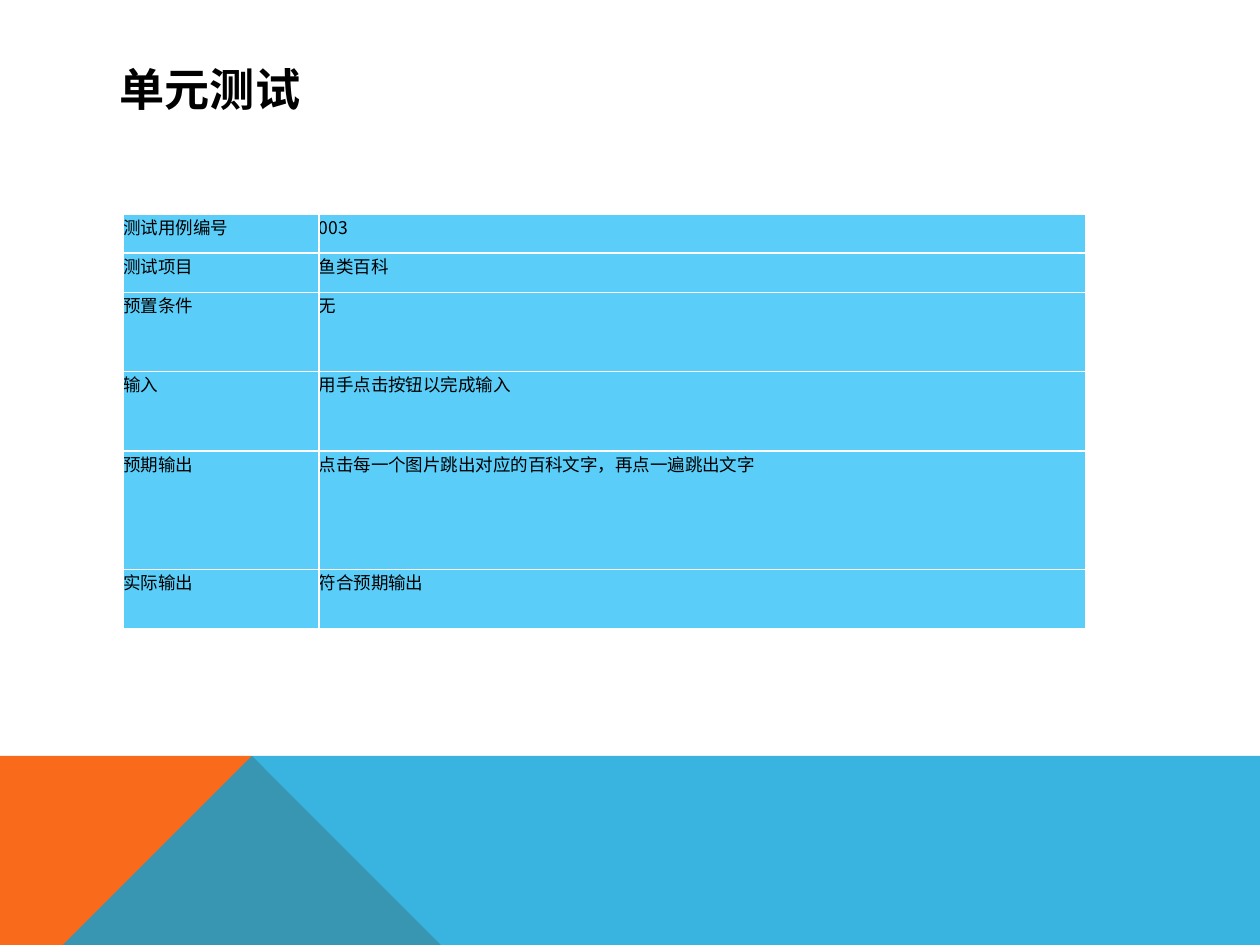
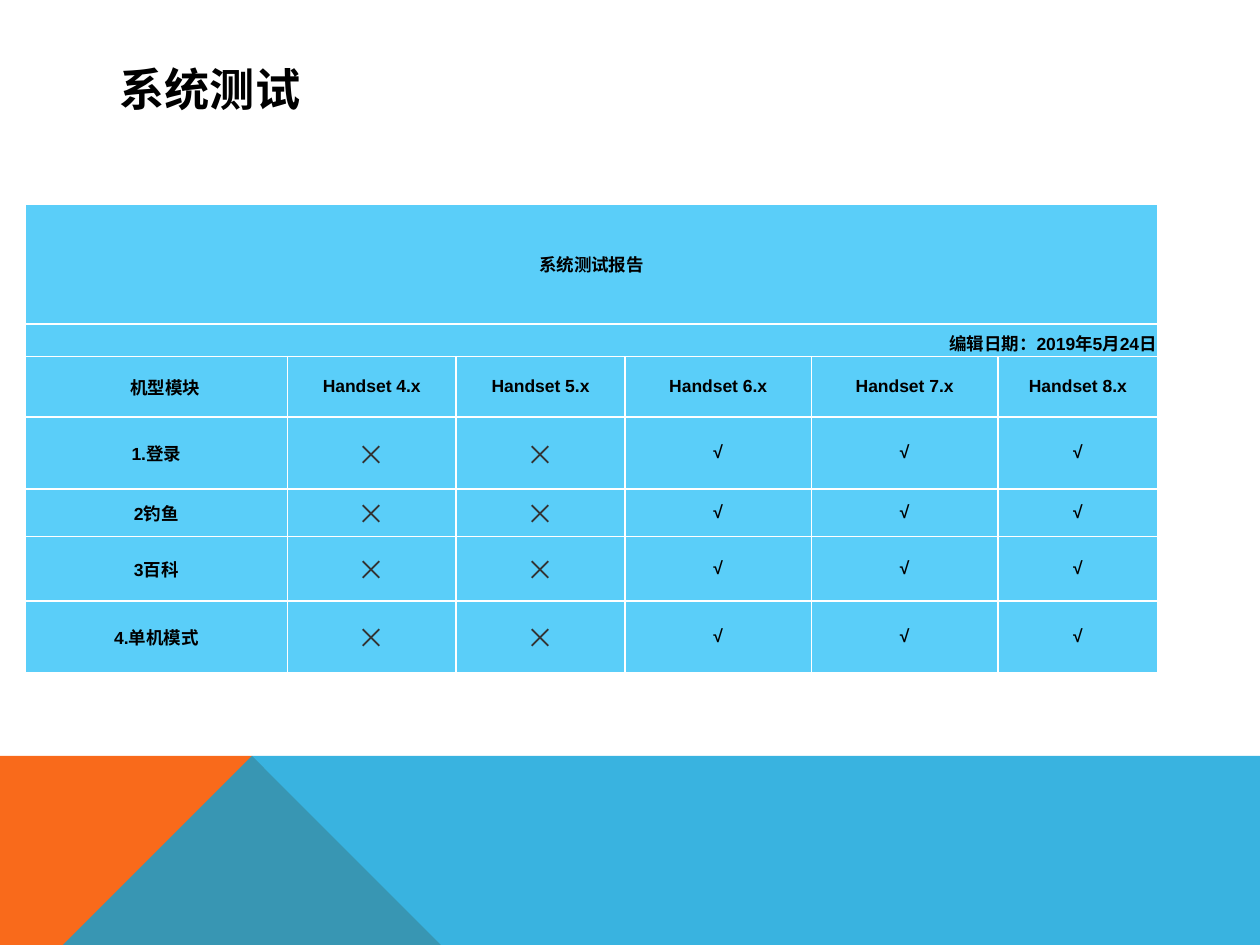
"""Build two test report slides, each with a title, a table and a shared base band."""
from lxml import etree
from pptx import Presentation
from pptx.dml.color import RGBColor
from pptx.enum.text import MSO_ANCHOR, MSO_AUTO_SIZE, PP_ALIGN
from pptx.oxml import parse_xml
from pptx.oxml.ns import nsdecls, qn
from pptx.util import Inches, Pt

UNIT = {
    "title": "单元测试",
    "at": (0.98, 1.7),
    "cols": (1.55, 6.09),
    "rows": (0.31, 0.31, 0.63, 0.63, 0.94, 0.47),
    "cells": [
        ("测试用例编号", "003"),
        ("测试项目", "鱼类百科"),
        ("预置条件", "无"),
        ("输入", "用手点击按钮以完成输入"),
        ("预期输出", "点击每一个图片跳出对应的百科文字，再点一遍跳出文字"),
        ("实际输出", "符合预期输出"),
    ],
}
MARKS = ("×", "×", "√", "√", "√")
SYSTEM = {
    "title": "系统测试",
    "at": (0.2, 1.62),
    "cols": (2.08, 1.34, 1.34, 1.48, 1.48, 1.27),
    "rows": (0.95, 0.26, 0.48, 0.57, 0.38, 0.51, 0.57),
    "cells": [
        ("系统测试报告",),
        ("编辑日期：2019年5月24日",),
        ("机型模块", *(f"Handset {n}.x" for n in range(4, 9))),
        *((name, *MARKS) for name in ("1.登录", "2钓鱼", "3百科", "4.单机模式")),
    ],
}

WIDE, HIGH = 10, 7.5
TOP, PEAK, FOOT = 5.52, 2.23, 3.91
BANDS = [
    ([(0, HIGH), (0, TOP), (PEAK, TOP), (FOOT, HIGH)], RGBColor(0xF9, 0x6A, 0x1B), 100),
    ([(0, HIGH), (PEAK, TOP), (WIDE, TOP), (WIDE, HIGH)], RGBColor(0x08, 0xA1, 0xD9), 80),
]
BLACK = RGBColor(0, 0, 0)
GREY = RGBColor(0x33, 0x33, 0x33)
SKY = RGBColor(0x5A, 0xCE, 0xF9)
WHITE = RGBColor(0xFF, 0xFF, 0xFF)
HEAD, SANS, CJK = "Roboto", "Arial", "Noto Sans CJK SC"
LEFT, MID, RIGHT, JUST = PP_ALIGN.LEFT, PP_ALIGN.CENTER, PP_ALIGN.RIGHT, PP_ALIGN.JUSTIFY
ABOVE, MIDDLE, BELOW = MSO_ANCHOR.TOP, MSO_ANCHOR.MIDDLE, MSO_ANCHOR.BOTTOM
FIXED = MSO_AUTO_SIZE.NONE


def style(frame, face, size, bold, color, align):
    for para in frame.paragraphs:
        para.alignment = align
        for run in para.runs:
            font = run.font
            font.name, font.size, font.bold = face, Pt(size), bold
            font.color.rgb = color
            latin = run._r.rPr.find(qn("a:latin"))
            latin.addnext(parse_xml(f'<a:ea {nsdecls("a")} typeface="{CJK}"/>'))


def add_bands(slide, layout):
    tree = layout.shapes.element
    for i, (points, color, alpha) in enumerate(BANDS):
        pen = slide.shapes.build_freeform(*points[0], scale=Inches(1))
        pen.add_line_segments(points[1:], close=True)
        band = pen.convert_to_shape()
        band.shadow.inherit = False
        band.fill.solid()
        band.fill.fore_color.rgb = color
        band.line.fill.background()
        if alpha < 100:
            tint = band.element.spPr.find(qn("a:solidFill"))[0]
            etree.SubElement(tint, qn("a:alpha"), val=str(alpha * 1000))
        band.element.nvSpPr.cNvPr.set("id", str(100 + i))
        tree.insert(2 + i, band.element)


def add_title(slide, text):
    title = slide.shapes.title
    title.left, title.top, title.width, title.height = map(Inches, (0.9, 0.4, 8.23, 0.6))
    frame = title.text_frame
    frame.text = text
    frame.auto_size = FIXED
    frame.vertical_anchor = MIDDLE
    frame.margin_left = frame.margin_right = Inches(0.05)
    frame.margin_top = frame.margin_bottom = Inches(0.05)
    style(frame, HEAD, 25.8, True, BLACK, LEFT)


def paint(cell, pad):
    cell.margin_left = cell.margin_right = Inches(pad)
    cell.margin_top = cell.margin_bottom = Inches(pad)
    cell.fill.solid()
    cell.fill.fore_color.rgb = SKY
    props = cell._tc.get_or_add_tcPr()
    for i, side in enumerate(("lnL", "lnR", "lnT", "lnB")):
        props.insert(i, parse_xml(
            f'<a:{side} {nsdecls("a")} w="{Pt(1)}"><a:solidFill>'
            f'<a:srgbClr val="{WHITE}"/></a:solidFill></a:{side}>'))


def add_grid(slide, data, pad):
    cols, rows = data["cols"], data["rows"]
    box = map(Inches, (*data["at"], sum(cols), sum(rows)))
    table = slide.shapes.add_table(len(rows), len(cols), *box).table
    table.first_row = table.horz_banding = False
    for col, width in zip(table.columns, cols):
        col.width = Inches(width)
    for row, height in zip(table.rows, rows):
        row.height = Inches(height)
    for r, texts in enumerate(data["cells"]):
        for c in range(len(cols)):
            paint(table.cell(r, c), pad)
        if len(texts) == 1:
            table.cell(r, 0).merge(table.cell(r, len(cols) - 1))
        for c, text in enumerate(texts):
            table.cell(r, c).text_frame.text = text
    return table


def style_unit(table):
    for cell in table.iter_cells():
        cell.vertical_anchor = ABOVE
        style(cell.text_frame, CJK, 10, False, BLACK, JUST)


def style_system(table):
    for cell in table.iter_cells():
        cell.vertical_anchor = MIDDLE
        if cell.text_frame.text == "×":
            style(cell.text_frame, CJK, 16, False, GREY, MID)
        else:
            style(cell.text_frame, SANS, 10, True, BLACK, MID)
    date = table.cell(1, 0)
    date.vertical_anchor = BELOW
    date.text_frame.paragraphs[0].alignment = RIGHT
    table.cell(2, 0).margin_left = Inches(0.15)


def main():
    deck = Presentation()
    deck.slide_width, deck.slide_height = Inches(WIDE), Inches(HIGH)
    layout = deck.slide_layouts[5]
    for data, pad, finish in ((UNIT, 0, style_unit), (SYSTEM, 0.01, style_system)):
        slide = deck.slides.add_slide(layout)
        add_title(slide, data["title"])
        finish(add_grid(slide, data, pad))
    add_bands(slide, layout)
    deck.save("out.pptx")


if __name__ == "__main__":
    main()
